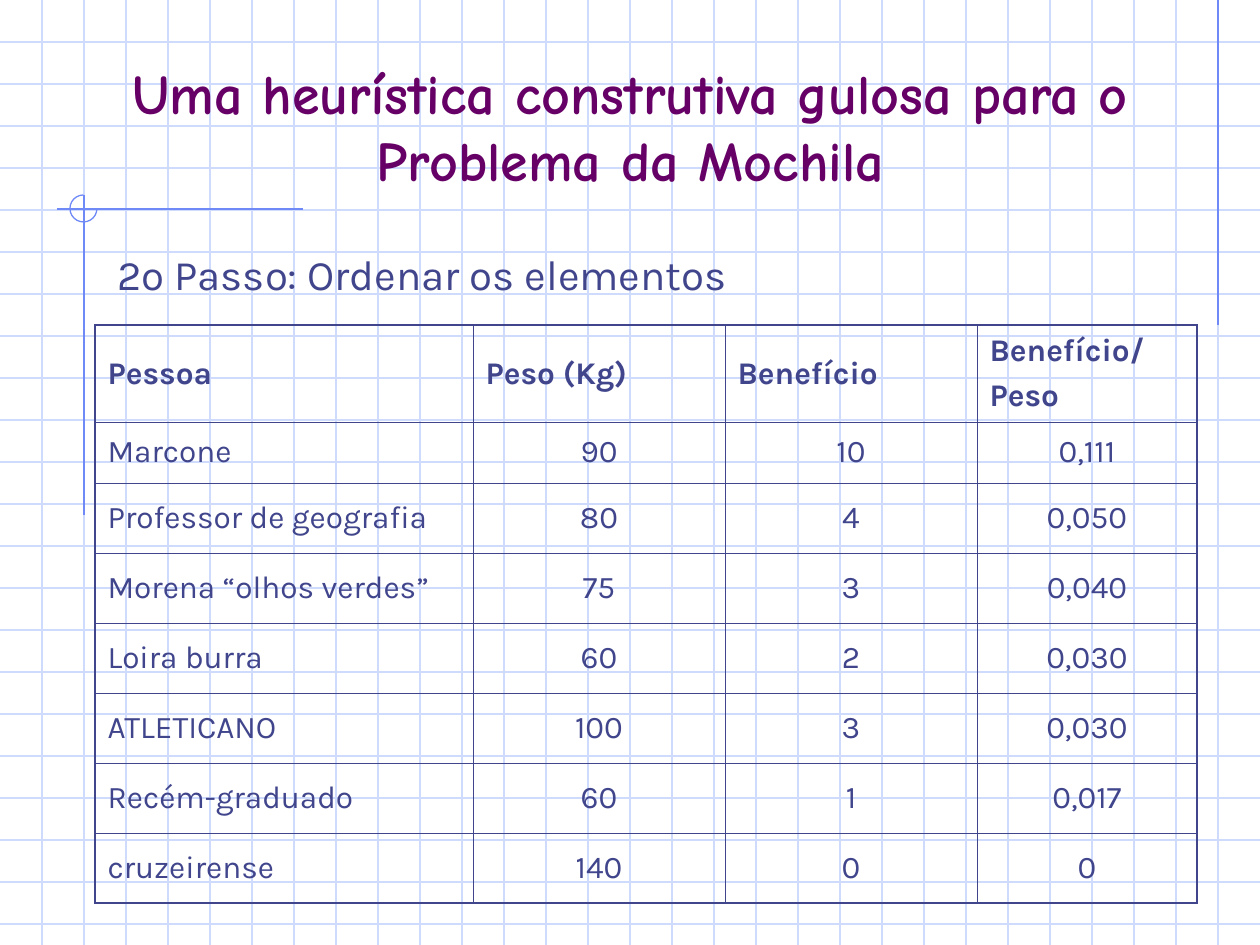
import dataclasses

import pptx
import pptx.dml.color
import pptx.enum.shapes
import pptx.enum.text
import pptx.oxml
import pptx.oxml.ns
import pptx.util

PX = pptx.util.Inches(1) / 126
WIDTH, HEIGHT, GRID = 1260, 945, 42
ALIGN = pptx.enum.text.PP_ALIGN
ANCHOR = pptx.enum.text.MSO_ANCHOR


@dataclasses.dataclass(frozen=True)
class Theme:
    title: str = "660066"
    text: str = "40458C"
    grid: str = "CFDBFD"
    accent: str = "6F89F7"
    title_font: str = "Comic Neue"
    body_font: str = "Karla"
    title_size: int = 32
    lead_size: int = 24
    cell_size: int = 18
    rule: float = 0.75
    inner_border: float = 0.45
    outer_border: float = 1.08


def emu(*lengths):
    return [pptx.util.Emu(round(n * PX)) for n in lengths]


def rgb(color):
    return pptx.dml.color.RGBColor.from_string(color)


class Deck:
    def __init__(self, prs, theme):
        self.theme = theme
        self.s = prs.slides.add_slide(prs.slide_layouts[5])

    def style(self, p, font, size, color, bold=False, align=ALIGN.LEFT):
        p.alignment = align
        p.font.name, p.font.size, p.font.bold = font, pptx.util.Pt(size), bold
        p.font.color.rgb = rgb(color)

    def stroke(self, sp, color):
        sp.line.color.rgb = rgb(color)
        sp.line.width = pptx.util.Pt(self.theme.rule)

    def line(self, x1, y1, x2, y2, color):
        sp = self.s.shapes.add_connector(
            pptx.enum.shapes.MSO_CONNECTOR.STRAIGHT, *emu(x1, y1, x2, y2))
        self.stroke(sp, color)
        effects = pptx.oxml.parse_xml(f"<a:effectLst {pptx.oxml.ns.nsdecls('a')}/>")
        sp._element.spPr.append(effects)

    def grid(self):
        for y in range(GRID, HEIGHT, GRID):
            self.line(0, y, WIDTH, y, self.theme.grid)
        for x in range(GRID, WIDTH, GRID):
            self.line(x, 0, x, HEIGHT, self.theme.grid)

    def arc(self, x, y, size):
        sp = self.s.shapes.add_shape(
            pptx.enum.shapes.MSO_SHAPE.ARC, *emu(x, y, size, size))
        sp.adjustments[0], sp.adjustments[1] = 0, 162
        sp.shadow.inherit = False
        sp.fill.background()
        self.stroke(sp, self.theme.accent)

    def title(self, x, y, w, h, text):
        sp = self.s.shapes.title
        self.s.shapes._spTree.append(sp._element)
        sp.left, sp.top, sp.width, sp.height = emu(x, y, w, h)
        tf = sp.text_frame
        tf.text = text
        tf.word_wrap = True
        tf.auto_size = pptx.enum.text.MSO_AUTO_SIZE.NONE
        tf.vertical_anchor = ANCHOR.BOTTOM
        self.style(tf.paragraphs[0], self.theme.title_font, self.theme.title_size,
                   self.theme.title, True, ALIGN.CENTER)

    def text(self, x, y, w, h, text):
        tf = self.s.shapes.add_textbox(*emu(x, y, w, h)).text_frame
        tf.text = text
        tf.word_wrap = True
        self.style(tf.paragraphs[0], self.theme.body_font, self.theme.lead_size,
                   self.theme.text)

    def borders(self, cell, outer_sides):
        tcPr = cell._tc.get_or_add_tcPr()
        for side in "LRTB":
            outer = side in outer_sides
            width = self.theme.outer_border if outer else self.theme.inner_border
            tcPr.append(pptx.oxml.parse_xml(
                f'<a:ln{side} {pptx.oxml.ns.nsdecls("a")} w="{pptx.util.Pt(width)}">'
                f'<a:solidFill><a:srgbClr val="{self.theme.text}"/></a:solidFill>'
                f'</a:ln{side}>'))

    def table(self, x, y, widths, heights, rows):
        table = self.s.shapes.add_table(
            len(rows), len(widths), *emu(x, y, sum(widths), sum(heights))).table
        table.first_row = table.horz_banding = False
        for column, width in zip(table.columns, emu(*widths)):
            column.width = width
        for row, height in zip(table.rows, emu(*heights)):
            row.height = height
        last_row, last_col = len(rows) - 1, len(widths) - 1
        for i, row in enumerate(rows):
            for j, value in enumerate(row):
                cell = table.cell(i, j)
                edges = {"L": j == 0, "R": j == last_col, "T": i == 0, "B": i == last_row}
                self.borders(cell, [side for side, outer in edges.items() if outer])
                cell.fill.background()
                cell.vertical_anchor = ANCHOR.MIDDLE
                cell.text = value
                for n, p in enumerate(cell.text_frame.paragraphs):
                    if n:
                        p.space_before = pptx.util.Pt(4.5)
                    self.style(p, self.theme.body_font, self.theme.cell_size,
                               self.theme.text, i == 0,
                               ALIGN.CENTER if i and j else ALIGN.LEFT)


def main():
    prs = pptx.Presentation()
    prs.slide_width, prs.slide_height = emu(WIDTH, HEIGHT)
    theme = Theme()
    deck = Deck(prs, theme)

    deck.grid()
    deck.line(1218, 0, 1218, 325, theme.accent)
    deck.line(303, 209, 57, 209, theme.accent)
    deck.line(84, 195, 84, 515, theme.accent)
    deck.arc(70, 195, 27)

    deck.title(95, 116, 1071, 83,
               "Uma heurística construtiva gulosa para o Problema da Mochila")
    deck.table(95, 325, [378, 252, 252, 220], [97, 61] + [70] * 6, [
        ("Pessoa", "Peso (Kg)", "Benefício", "Benefício/\nPeso"),
        ("Marcone", "90", "10", "0,111"),
        ("Professor de geografia", "80", "4", "0,050"),
        ("Morena “olhos verdes”", "75", "3", "0,040"),
        ("Loira burra", "60", "2", "0,030"),
        ("ATLETICANO", "100", "3", "0,030"),
        ("Recém-graduado", "60", "1", "0,017"),
        ("cruzeirense", "140", "0", "0"),
    ])
    deck.text(105, 242, 1018, 63, "2º Passo: Ordenar os elementos")

    prs.save("out.pptx")


if __name__ == "__main__":
    main()
